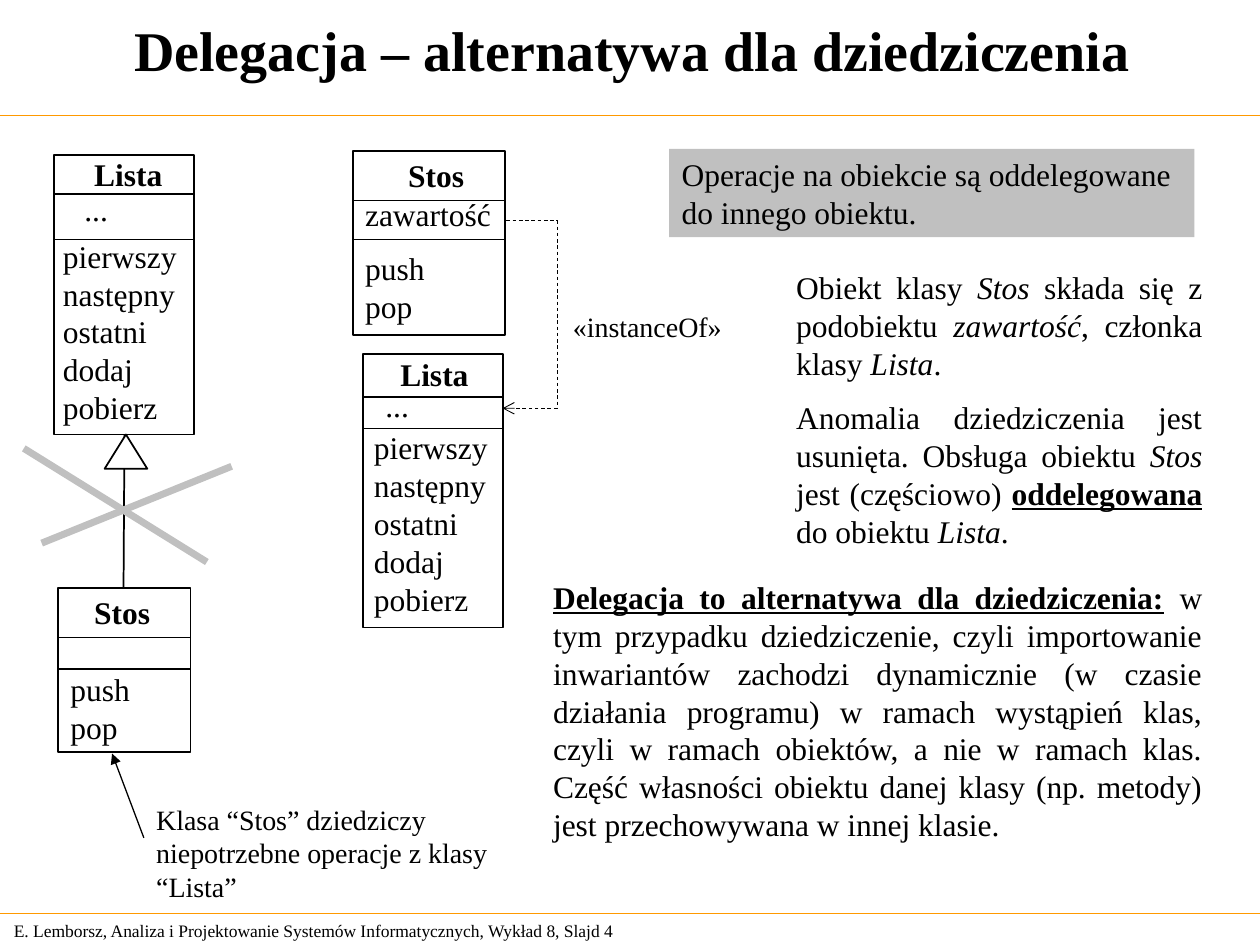
from dataclasses import dataclass
from typing import Optional

from lxml.etree import SubElement
from pptx import Presentation
from pptx.dml.color import RGBColor
from pptx.enum.dml import MSO_LINE
from pptx.enum.shapes import MSO_CONNECTOR, MSO_SHAPE
from pptx.enum.text import MSO_ANCHOR, PP_ALIGN
from pptx.oxml.ns import qn
from pptx.util import Cm, Pt

FONT = "Times New Roman"
BLACK, WHITE, GREY, ORANGE = "000000", "FFFFFF", "C0C0C0", "FF9900"
LINE_H = 0.76
INSET = 0.25


@dataclass
class Run:
    text: str
    style: str = ""


@dataclass
class Label:
    x: float
    y: float
    w: float
    lines: list[str]
    style: str = ""


@dataclass
class ClassBox:
    x: float
    y: float
    w: float
    h: float
    dividers: tuple[float, float]
    name: Label
    attributes: Optional[Label]
    operations: Label


def color(value: str) -> RGBColor:
    return RGBColor.from_string(value)


def fill_text(tf, paragraphs: list[list[Run]], size: float = 18, align=PP_ALIGN.LEFT,
              wrap: bool = True, gap: float = 0, anchor=MSO_ANCHOR.TOP) -> None:
    tf.word_wrap = wrap
    tf.vertical_anchor = anchor
    for i, runs in enumerate(paragraphs):
        p = tf.paragraphs[0] if i == 0 else tf.add_paragraph()
        p.alignment = align
        p.line_spacing = Pt(1.2 * size)
        if i and gap:
            p.space_before = Pt(gap)
        for run in runs:
            r = p.add_run()
            r.text = run.text
            r.font.name = FONT
            r.font.size = Pt(size)
            r.font.color.rgb = color(BLACK)
            r.font.bold = "b" in run.style
            r.font.italic = "i" in run.style
            r.font.underline = "u" in run.style


def add_text(s, x: float, y: float, w: float, h: float,
             paragraphs: list[list[Run]], **options) -> None:
    sp = s.shapes.add_textbox(Cm(x), Cm(y), Cm(w), Cm(h))
    fill_text(sp.text_frame, paragraphs, **options)


def add_label(s, label: Label) -> None:
    height = len(label.lines) * LINE_H + INSET
    paragraphs = [[Run(line, label.style)] for line in label.lines]
    add_text(s, label.x, label.y, label.w, height, paragraphs, wrap=False)


def add_line(s, x1: float, y1: float, x2: float, y2: float, line: str = BLACK,
             width: float = 1, dash: bool = False, arrow: str = "") -> None:
    cn = s.shapes.add_connector(MSO_CONNECTOR.STRAIGHT, Cm(x1), Cm(y1), Cm(x2), Cm(y2))
    cn.line.color.rgb = color(line)
    cn.line.width = Pt(width)
    if dash:
        cn.line.dash_style = MSO_LINE.DASH
    if arrow:
        SubElement(cn.line._get_or_add_ln(), qn("a:tailEnd"), type=arrow)
    SubElement(cn._element.spPr, qn("a:effectLst"))


def add_shape(s, kind, x: float, y: float, w: float, h: float,
              fill: str = "", line: str = ""):
    sp = s.shapes.add_shape(kind, Cm(x), Cm(y), Cm(w), Cm(h))
    sp.shadow.inherit = False
    if fill:
        sp.fill.solid()
        sp.fill.fore_color.rgb = color(fill)
    else:
        sp.fill.background()
    if line:
        sp.line.color.rgb = color(line)
        sp.line.width = Pt(1)
    else:
        sp.line.fill.background()
    return sp


def add_class(s, box: ClassBox) -> None:
    add_shape(s, MSO_SHAPE.RECTANGLE, box.x, box.y, box.w, box.h, line=BLACK)
    for y in box.dividers:
        add_line(s, box.x, y, box.x + box.w, y)
    for label in (box.name, box.attributes, box.operations):
        if label:
            add_label(s, label)


LIST_OPS = ["pierwszy", "następny", "ostatni", "dodaj", "pobierz"]
STACK_OPS = ["push", "pop"]

CLASSES = [
    ClassBox(1.09, 3.12, 2.82, 5.64, (3.91, 4.83),
             Label(1.65, 3, 1.88, ["Lista"], "b"),
             Label(1.45, 3.71, 0.99, ["..."]),
             Label(1.02, 4.65, 3.1, LIST_OPS)),
    ClassBox(1.17, 11.86, 2.67, 3.3, (12.85, 13.49),
             Label(1.65, 11.84, 1.63, ["Stos"], "b"),
             None,
             Label(1.17, 13.39, 1.7, STACK_OPS)),
    ClassBox(7.11, 3.05, 3.07, 3.71, (4.04, 4.83),
             Label(7.98, 3.02, 1.63, ["Stos"], "b"),
             Label(7.11, 3.81, 3.07, ["zawartość"]),
             Label(7.11, 4.9, 1.7, STACK_OPS)),
    ClassBox(7.32, 7.14, 2.82, 5.51, (8, 8.64),
             Label(7.82, 7.04, 1.88, ["Lista"], "b"),
             Label(7.52, 7.65, 0.99, ["..."]),
             Label(7.29, 8.51, 3.1, LIST_OPS)),
]

EXPLANATION = [
    [Run("Obiekt klasy "), Run("Stos", "i"), Run(" składa się z podobiektu "),
     Run("zawartość", "i"), Run(", członka klasy "), Run("Lista", "i"), Run(".")],
    [Run("Anomalia dziedziczenia jest usunięta. Obsługa obiektu "), Run("Stos ", "i"),
     Run("jest (częściowo) "), Run("oddelegowana", "bu"), Run(" ", "b"),
     Run("do obiektu "), Run("Lista", "i"), Run(".")],
]

SUMMARY = [[
    Run("Delegacja to alternatywa dla dziedziczenia:", "bu"), Run(" ", "b"),
    Run("w tym przypadku dziedziczenie, czyli importowanie inwariantów zachodzi "
        "dynamicznie (w czasie działania programu) w ramach wystąpień klas, czyli "
        "w ramach obiektów, a nie w ramach klas. Część własności obiektu danej klasy "
        "(np. metody) jest przechowywana w innej klasie."),
]]


def main() -> None:
    prs = Presentation()
    prs.slide_width, prs.slide_height = Cm(25.4), Cm(19.05)
    s = prs.slides.add_slide(prs.slide_layouts[6])

    for y in (2.33, 18.41):
        add_line(s, 0, y, 25.4, y, ORANGE, 0.75)
    add_text(s, 0.03, 18.42, 13.31, 0.69,
             [[Run("E. Lemborsz, Analiza i Projektowanie Systemów Informatycznych, "
                   "Wykład 8, Slajd 4")]], size=10, anchor=MSO_ANCHOR.MIDDLE)
    add_text(s, 0.15, -0.08, 25.2, 2.16,
             [[Run("Delegacja – alternatywa dla dziedziczenia", "b")]],
             size=32, align=PP_ALIGN.CENTER, anchor=MSO_ANCHOR.MIDDLE)

    add_line(s, 2.51, 8.76, 2.49, 11.86)
    add_shape(s, MSO_SHAPE.ISOSCELES_TRIANGLE, 2.11, 8.76, 0.86, 0.69, WHITE, BLACK)
    for box in CLASSES:
        add_class(s, box)
    add_line(s, 0.48, 9.04, 4.17, 11.33, GREY, 4)
    add_line(s, 4.67, 9.4, 0.84, 10.95, GREY, 4)

    add_line(s, 10.21, 4.44, 11.23, 4.44, width=0.5, dash=True)
    add_line(s, 11.23, 4.44, 11.23, 8.23, width=0.5, dash=True)
    add_line(s, 11.23, 8.23, 10.13, 8.23, width=0.5, dash=True, arrow="arrow")
    add_text(s, 11.3, 6.12, 3.51, 0.94, [[Run("«instanceOf»")]], size=16, wrap=False)

    note = add_shape(s, MSO_SHAPE.RECTANGLE, 13.49, 3, 10.59, 1.78, GREY)
    fill_text(note.text_frame,
              [[Run("Operacje na obiekcie są oddelegowane do innego obiektu.")]])
    add_text(s, 15.8, 5.28, 8.69, 5.92, EXPLANATION, align=PP_ALIGN.JUSTIFY, gap=9.6)
    add_text(s, 10.9, 11.53, 13.59, 5.59, SUMMARY, align=PP_ALIGN.JUSTIFY)

    add_line(s, 2.9, 16.89, 2.26, 15.19, width=0.75, arrow="triangle")
    add_text(s, 2.9, 16.05, 8.05, 2.29,
             [[Run("Klasa “Stos” dziedziczy niepotrzebne operacje z klasy “Lista”")]],
             size=16)

    prs.save("out.pptx")


if __name__ == "__main__":
    main()
